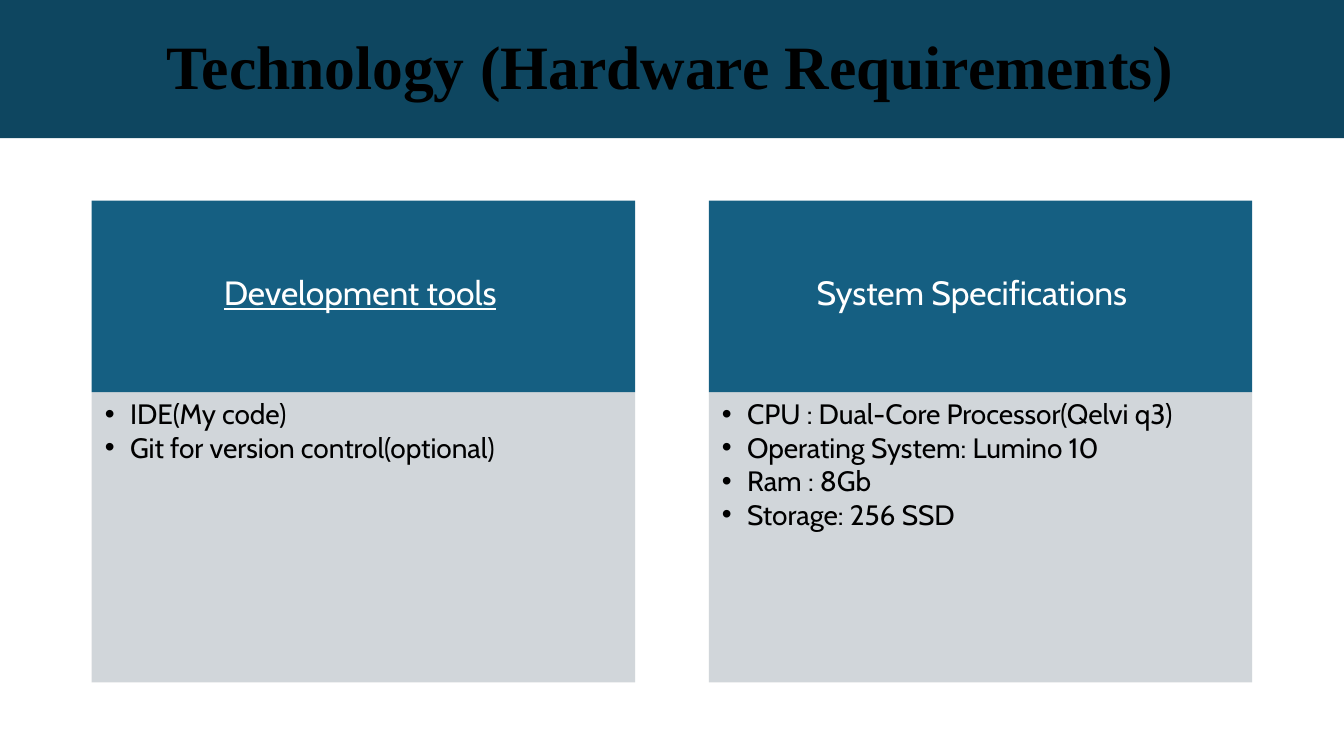
from pptx import Presentation
from pptx.dml.color import RGBColor
from pptx.enum.shapes import MSO_SHAPE
from pptx.enum.text import MSO_ANCHOR, PP_ALIGN
from pptx.oxml.ns import qn
from pptx.util import Inches, Pt
from lxml import etree

RECT = MSO_SHAPE.RECTANGLE
TOP = MSO_ANCHOR.TOP
LEFT = PP_ALIGN.LEFT

TITLE = "Technology (Hardware Requirements)"
CARDS = [
    {"heading": "Development tools", "underline": True, "indent": 1.31, "width": 2.86,
     "items": ["IDE(My code)", "Git for version control(optional)"]},
    {"heading": "System Specifications", "underline": False, "indent": 1.07, "width": 3.37,
     "items": ["CPU : Dual-Core Processor(Qelvi q3)", "Operating System: Lumino 10",
               "Ram : 8Gb", "Storage: 256 SSD"]},
]

THEME = {
    "banner": "0E4660", "header": "155F82", "body": "CCD2D6", "body_alpha": 90,
    "dark": "000000", "light": "FFFFFF",
    "title_font": "Times New Roman", "font": "Cabin",
    "title_size": 44, "heading_size": 24, "item_size": 20,
    "line": 23.9, "tracking": -0.05,
}

SLIDE_W, SLIDE_H = 13.33, 7.5
BANNER_H = 1.37
CARD_X, CARD_Y, CARD_W, CARD_PITCH = 0.91, 1.99, 5.39, 6.12
HEADER_H, BODY_H = 1.9, 2.88
HEADING_DY, HEADING_H = 0.7, 0.43
BULLET_INDENT, BULLET_HANG = 0.38, 0.25


def set_frame(tf, top):
    tf.word_wrap = True
    tf.vertical_anchor = TOP
    tf.margin_left = tf.margin_right = tf.margin_bottom = 0
    tf.margin_top = Inches(top)


def add_block(s, x, y, w, h, color, alpha=100):
    sp = s.shapes.add_shape(RECT, Inches(x), Inches(y), Inches(w), Inches(h))
    sp.shadow.inherit = False
    sp.line.fill.background()
    sp.fill.solid()
    sp.fill.fore_color.rgb = RGBColor.from_string(color)
    if alpha < 100:
        clr = sp.fill._xPr.find(qn("a:solidFill"))[0]
        etree.SubElement(clr, qn("a:alpha")).set("val", str(alpha * 1000))
    return sp


def add_run(p, text, font, size, color, bold=False, underline=False):
    p.alignment = LEFT
    r = p.add_run()
    r.text = text
    r.font.name = font
    r.font.size = Pt(size)
    r.font.bold = bold
    r.font.underline = underline
    r.font.color.rgb = RGBColor.from_string(color)
    r._r.get_or_add_rPr().set("spc", str(round(THEME["tracking"] * 100)))


def add_label(s, x, y, w, h, text, *style, **emphasis):
    tf = s.shapes.add_textbox(Inches(x), Inches(y), Inches(w), Inches(h)).text_frame
    set_frame(tf, 0.01)
    add_run(tf.paragraphs[0], text, *style, **emphasis)


def add_bullets(tf, items):
    set_frame(tf, 0.05)
    for i, item in enumerate(items):
        p = tf.paragraphs[0] if i == 0 else tf.add_paragraph()
        p.line_spacing = Pt(THEME["line"])
        pPr = p._p.get_or_add_pPr()
        pPr.set("marL", str(Inches(BULLET_INDENT)))
        pPr.set("indent", str(-Inches(BULLET_HANG)))
        etree.SubElement(pPr, qn("a:buFont")).set("typeface", "Arial")
        etree.SubElement(pPr, qn("a:buChar")).set("char", "•")
        add_run(p, item, THEME["font"], THEME["item_size"], THEME["dark"])


def add_card(s, x, card):
    body = add_block(s, x, CARD_Y + HEADER_H, CARD_W, BODY_H,
                     THEME["body"], THEME["body_alpha"])
    add_bullets(body.text_frame, card["items"])
    add_block(s, x, CARD_Y, CARD_W, HEADER_H, THEME["header"])
    add_label(s, x + card["indent"], CARD_Y + HEADING_DY, card["width"], HEADING_H,
              card["heading"], THEME["font"], THEME["heading_size"], THEME["light"],
              underline=card["underline"])


def main():
    prs = Presentation()
    prs.slide_width, prs.slide_height = Inches(SLIDE_W), Inches(SLIDE_H)
    s = prs.slides.add_slide(prs.slide_layouts[6])
    add_block(s, 0, 0, SLIDE_W, BANNER_H, THEME["banner"])
    add_label(s, 1.65, 0.27, 10.05, 0.76, TITLE,
              THEME["title_font"], THEME["title_size"], THEME["dark"], bold=True)
    for i, card in enumerate(CARDS):
        add_card(s, CARD_X + i * CARD_PITCH, card)
    prs.save("out.pptx")


if __name__ == "__main__":
    main()
